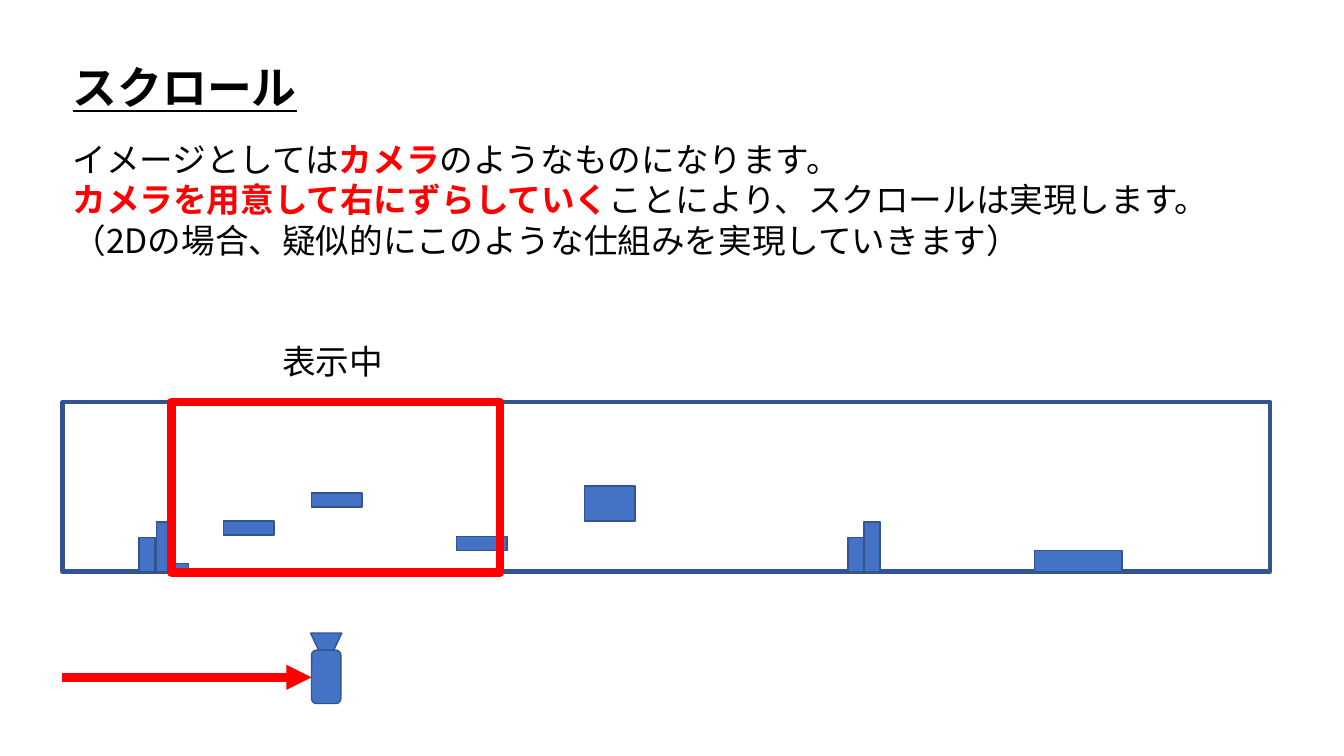
from lxml import etree
from pptx import Presentation
from pptx.dml.color import RGBColor
from pptx.enum import shapes, text
from pptx.oxml.ns import qn
from pptx.util import Inches, Pt

FONT = "Noto Sans CJK JP"
BLACK, RED, BLUE, NAVY = "000000", "FF0000", "4472C4", "325491"
LEFT = 0.62

PLAIN = {"size": Pt(24), "bold": False}
STRONG = {"size": Pt(24), "bold": True}
HEAD = {"size": Pt(32), "bold": True, "underline": True}

TITLE = [[("スクロール", BLACK, HEAD)]]
BODY = [
    [("イメージとしては", BLACK, PLAIN), ("カメラ", RED, STRONG),
     ("のようなものになります。", BLACK, PLAIN)],
    [("カメラを用意して右にずらしていく", RED, STRONG),
     ("ことにより、スクロールは実現します。", BLACK, PLAIN)],
    [("（2Dの場合、疑似的にこのような仕組みを実現していきます）", BLACK, PLAIN)],
]
LABEL = [[("表示中", BLACK, PLAIN)]]

STAGE = (LEFT, 3.99, 11.98, 1.68)
VIEW = (1.7, 3.99, 3.26, 1.69)
FLOOR = 5.67
# Blocks standing on the floor: left, width, height
GROUND = [(1.38, 0.16, 0.34), (1.55, 0.16, 0.49), (1.71, 0.16, 0.08),
          (8.41, 0.16, 0.34), (8.57, 0.16, 0.49), (10.26, 0.87, 0.21)]
# Blocks in the air: left, top, height
FLOAT = [(2.22, 5.17, 0.14), (3.09, 4.89, 0.14), (4.53, 5.32, 0.14),
         (5.8, 4.82, 0.35)]
WIDE = 0.5
LENS = (3.08, 6.28, 0.31, 0.33)
BODY_CAM = (3.09, 6.45, 0.29, 0.53)


def color(code):
    return RGBColor.from_string(code)


def write(box, lines):
    """Fill a text holder with lines of (words, colour, format) runs."""
    frame = box.text_frame
    frame.auto_size = text.MSO_AUTO_SIZE.NONE
    frame.vertical_anchor = text.MSO_ANCHOR.TOP
    for i, line in enumerate(lines):
        para = frame.add_paragraph() if i else frame.paragraphs[0]
        para.alignment = text.PP_ALIGN.LEFT
        para.line_spacing = 1.0
        for words, code, style in line:
            run = para.add_run()
            run.text = words
            run.font.color.rgb = color(code)
            run.font.name = FONT
            for key, value in style.items():
                setattr(run.font, key, value)
            east = etree.SubElement(run.font._element, qn("a:ea"))
            east.set("typeface", FONT)


def label(slide, place, lines):
    box = slide.shapes.add_textbox(*map(Inches, place))
    box.text_frame.word_wrap = False
    write(box, lines)


def draw(slide, place, fill=BLUE, line=NAVY, width=1, kind="RECTANGLE"):
    shape = slide.shapes.add_shape(
        getattr(shapes.MSO_SHAPE, kind), *map(Inches, place))
    shape.shadow.inherit = False
    if fill:
        shape.fill.solid()
        shape.fill.fore_color.rgb = color(fill)
    else:
        shape.fill.background()
    shape.line.color.rgb = color(line)
    shape.line.width = Pt(width)
    return shape


def arrow(slide, start, end):
    link = slide.shapes.add_connector(
        shapes.MSO_CONNECTOR.STRAIGHT, *map(Inches, start + end))
    link.line.color.rgb = color(RED)
    link.line.width = Pt(6)
    tip = etree.SubElement(link.line._get_or_add_ln(), qn("a:tailEnd"))
    tip.set("type", "triangle")
    etree.SubElement(link._element.spPr, qn("a:effectLst"))


def main():
    deck = Presentation()
    deck.slide_width, deck.slide_height = Inches(13.33), Inches(7.5)
    slide = deck.slides.add_slide(deck.slide_layouts[5])

    title = slide.shapes.title
    title.left, title.top = Inches(LEFT), Inches(0.54)
    title.width, title.height = Inches(2.45), Inches(0.64)
    title.text_frame.word_wrap = False
    write(title, TITLE)
    label(slide, (LEFT, 1.33, 11.65, 1.31), BODY)

    draw(slide, STAGE, fill=None, width=3)
    for left, width, height in GROUND:
        draw(slide, (left, FLOOR - height, width, height))
    for left, top, height in FLOAT:
        draw(slide, (left, top, WIDE, height))
    draw(slide, VIEW, fill=None, line=RED, width=6)
    label(slide, (2.7, 3.33, 1.21, 0.5), LABEL)

    draw(slide, LENS, kind="ISOSCELES_TRIANGLE").rotation = 180
    draw(slide, BODY_CAM, kind="ROUNDED_RECTANGLE")
    arrow(slide, (LEFT, 6.72), (BODY_CAM[0], 6.72))

    deck.save("out.pptx")


if __name__ == "__main__":
    main()
